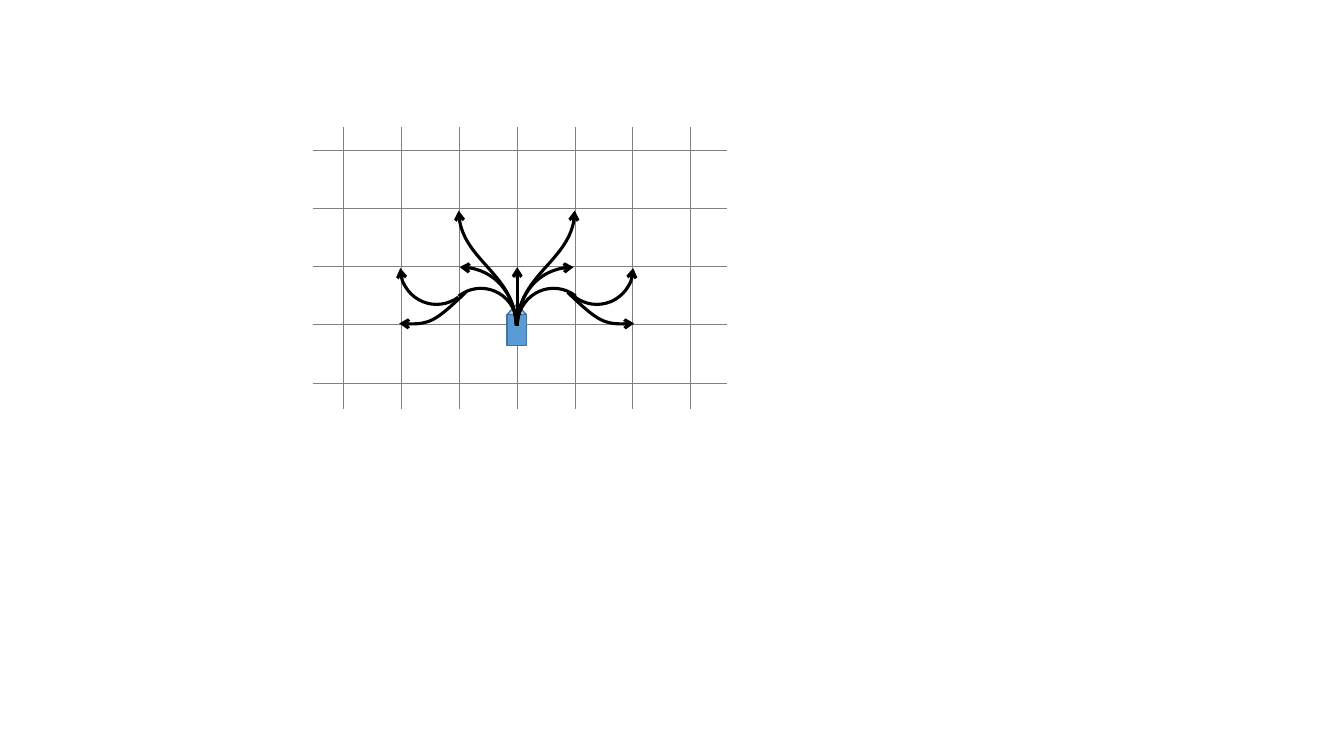
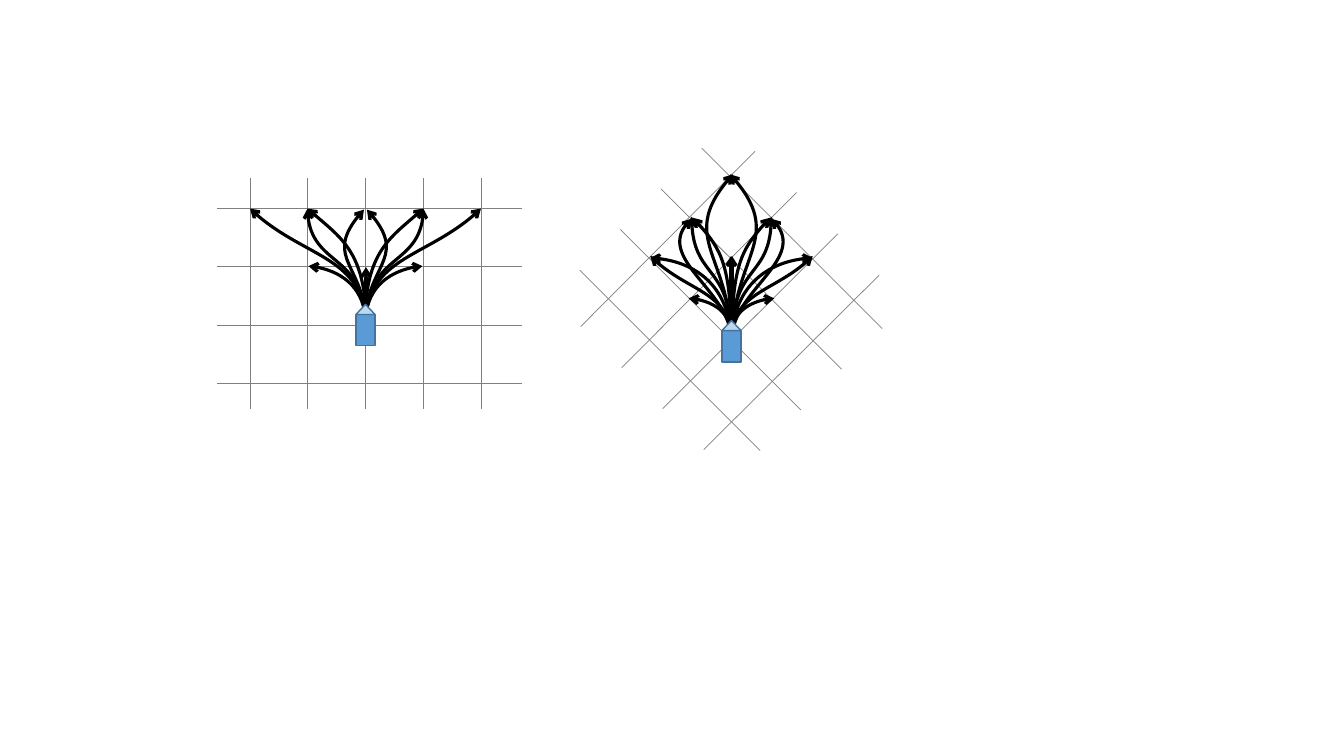
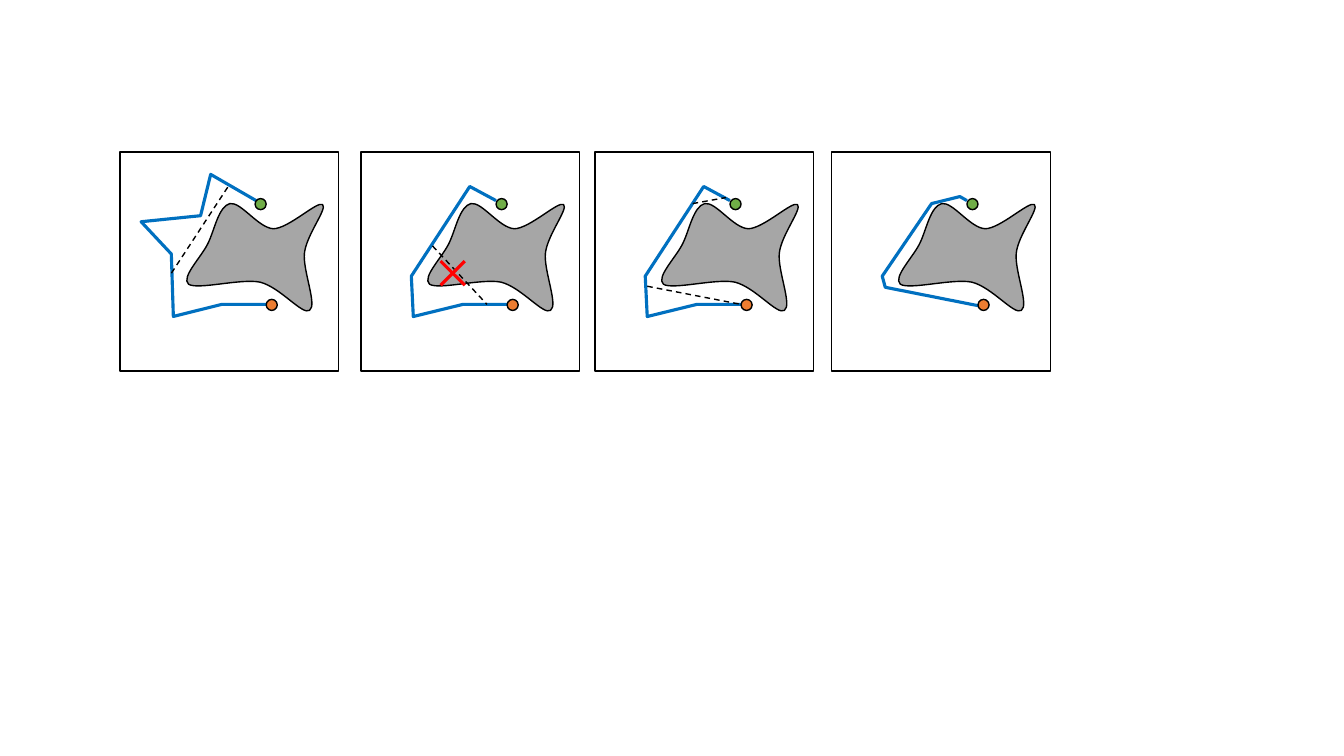
from lxml import etree
from pptx import Presentation
from pptx import util as u
from pptx.dml import color
from pptx.enum import dml, shapes
from pptx.oxml import ns

# Shared colours and line widths
BLACK, WHITE, GRID = "000000", "FFFFFF", "808080"
CAR_BODY, CAR_NOSE, CAR_LINE = "5B9BD5", "BDD7EE", "43739E"
OBSTACLE, ROUTE, CROSS = "A6A6A6", "0070C0", "FF0000"
START, GOAL = "70AD47", "ED7D31"
THIN, MEDIUM, THICK = 0.5, 1, 2.25

# Slide 1: moves to the right, as (distance from the axis, height)
SMALL_MOVES = [
    [(0, 3.23), (0.01, 2.74), (0.57, 2.57), (0.57, 2.09)],
    [(0, 3.22), (0.01, 2.98), (0.18, 2.65), (0.56, 2.65)],
    [(0.5, 2.9), (0.8, 3.19), (0.89, 3.23), (1.16, 3.21)],
]

# Slide 2: moves to the right on the straight and the diagonal grid
STRAIGHT_MOVES = [
    [(0, 3.21), (0.01, 2.87), (0.27, 2.66), (0.57, 2.64)],
    [(0, 3.21), (0, 2.53), (0.27, 2.34), (0.58, 2.07)],
    [(0.01, 3.21), (0.01, 2.53), (0.57, 2.66), (0.58, 2.07)],
    [(0, 3.21), (0.02, 2.56), (0.64, 2.56), (1.15, 2.07)],
    [(0, 3.21), (0.01, 2.64), (0.46, 2.56), (0.02, 2.08)],
]
DIAGONAL_MOVES = [
    [(-0.01, 3.37), (-0.01, 3.12), (0.19, 2.97), (0.42, 2.96)],
    [(0, 3.37), (0, 2.64), (0.12, 2.43), (0.38, 2.16)],
    [(0, 3.37), (0, 2.64), (0.39, 2.78), (0.39, 2.15)],
    [(-0.01, 3.38), (0, 2.91), (0.44, 2.9), (0.8, 2.54)],
    [(0, 3.37), (0.01, 2.55), (0.55, 2.35), (-0.02, 1.73)],
    [(0, 3.37), (0.01, 2.87), (0.37, 2.57), (0.8, 2.56)],
    [(0, 3.35), (0.01, 2.9), (0.8, 2.54), (0.39, 2.17)],
]

# Slide 3: positions inside a panel
PANEL_TOP, PANEL_SIZE, DOT_SIZE = 1.51, 2.17, 0.11
OBSTACLE_CURVE = [
    (1.09, 0.51), (1.2, 0.49), (1.37, 0.75), (1.52, 0.76),
    (1.67, 0.76), (1.96, 0.48), (2.01, 0.52),
    (2.06, 0.56), (1.85, 0.82), (1.83, 1),
    (1.81, 1.17), (1.96, 1.52), (1.88, 1.57),
    (1.81, 1.62), (1.59, 1.34), (1.39, 1.29),
    (1.2, 1.25), (0.77, 1.37), (0.68, 1.31),
    (0.6, 1.24), (0.82, 1.03), (0.88, 0.89),
    (0.94, 0.76), (0.98, 0.54), (1.09, 0.51),
]
FIRST_ROUTE = [(1.35, 0.48), (0.9, 0.22), (0.8, 0.63), (0.21, 0.69),
               (0.51, 1.01), (0.53, 1.63), (1.01, 1.51), (1.47, 1.51)]
SHORTER_ROUTE = [(1.34, 0.48), (1.08, 0.34), (0.8, 0.77), (0.5, 1.23),
                 (0.52, 1.63), (1.01, 1.51), (1.46, 1.51)]
FINAL_ROUTE = [(1.34, 0.48), (1.27, 0.44), (0.99, 0.51), (0.5, 1.23),
               (0.53, 1.34), (1.49, 1.53)]
# Panel left, route, dashed shortcuts, strokes of the cross
PANELS = [
    (1.19, FIRST_ROUTE, [((0.51, 1.2), (1.08, 0.33))], []),
    (3.58, SHORTER_ROUTE, [((0.71, 0.93), (1.25, 1.51))],
     [((0.79, 1.08), (1.03, 1.32)), ((0.79, 1.32), (1.03, 1.08))]),
    (5.9, SHORTER_ROUTE, [((0.52, 1.33), (1.45, 1.51)),
                          ((0.97, 0.51), (1.3, 0.45))], []),
    (8.25, FINAL_ROUTE, [], []),
]


def rgb(value):
    return color.RGBColor.from_string(value)


# Styling
def style_line(shape, colour, width, dashed=False, arrow=False):
    shape.line.color.rgb = rgb(colour)
    shape.line.width = u.Pt(width)
    if dashed:
        shape.line.dash_style = dml.MSO_LINE.DASH
    if arrow:
        line = shape.element.spPr.find(ns.qn("a:ln"))
        etree.SubElement(line, ns.qn("a:tailEnd"), type="arrow")


def style_shape(shape, fill, colour, width, arrow=False):
    shape.shadow.inherit = False
    if fill:
        shape.fill.solid()
        shape.fill.fore_color.rgb = rgb(fill)
    else:
        shape.fill.background()
    style_line(shape, colour, width, arrow=arrow)


# Kinds of element
def add_line(slide, begin, end, colour, width, dashed=False, arrow=False):
    connector = slide.shapes.add_connector(
        shapes.MSO_CONNECTOR.STRAIGHT,
        *(u.Inches(value) for value in (*begin, *end)))
    style_line(connector, colour, width, dashed, arrow)
    etree.SubElement(connector.element.spPr, ns.qn("a:effectLst"))


def add_preset(slide, kind, box, fill, colour, width=MEDIUM, arrow=False):
    shape = slide.shapes.add_shape(kind, *(u.Inches(value) for value in box))
    style_shape(shape, fill, colour, width, arrow)
    return shape


def add_outline(slide, points, fill, colour, width, closed=False, arrow=False):
    corners = [(u.Inches(x), u.Inches(y)) for x, y in points]
    builder = slide.shapes.build_freeform(*corners[0])
    builder.add_line_segments(corners[1:], close=closed)
    shape = builder.convert_to_shape()
    style_shape(shape, fill, colour, width, arrow)
    return shape


def curve_extent(values):
    """Return the least and greatest value along cubic Bezier curves."""
    steps = 50
    reached = []
    for first in range(0, len(values) - 1, 3):
        a, b, c, d = values[first:first + 4]
        for step in range(steps + 1):
            t = step / steps
            s = 1 - t
            reached.append(s ** 3 * a + 3 * s * s * t * b
                           + 3 * s * t * t * c + t ** 3 * d)
    return min(reached), max(reached)


def add_curve(slide, controls, fill, colour, width, closed=False, arrow=False):
    """Draw a chain of cubic Bezier curves in a box that fits it closely."""
    shape = add_outline(slide, controls, fill, colour, width, closed, arrow)
    (left, right), (top, bottom) = map(curve_extent, zip(*controls))
    shape.left, shape.top = u.Inches(left), u.Inches(top)
    shape.width, shape.height = u.Inches(right - left), u.Inches(bottom - top)
    outline = next(shape.element.spPr.iter(ns.qn("a:path")))
    outline.set("w", str(shape.width))
    outline.set("h", str(shape.height))
    points = list(outline.iter(ns.qn("a:pt")))
    for point, (x, y) in zip(points, controls):
        point.set("x", str(u.Inches(x - left)))
        point.set("y", str(u.Inches(y - top)))
    # Turn every three straight segments into one curved segment
    for segment in outline.findall(ns.qn("a:lnTo")):
        outline.remove(segment)
    for position, first in enumerate(range(1, len(controls), 3), start=1):
        curve = etree.Element(ns.qn("a:cubicBezTo"))
        curve.extend(points[first:first + 3])
        outline.insert(position, curve)


def add_parallel_lines(slide, first, last, count):
    """Spread grid lines evenly; each is (x1, y1, x2, y2)."""
    for index in range(count):
        share = index / (count - 1)
        ends = [a + (b - a) * share for a, b in zip(first, last)]
        add_line(slide, ends[:2], ends[2:], GRID, THIN)


def add_moves(slide, right_axis, left_axis, moves):
    """Draw each curved move to the right and its mirror to the left."""
    for axis, side in ((right_axis, 1), (left_axis, -1)):
        for move in moves:
            controls = [(axis + side * x, y) for x, y in move]
            add_curve(slide, controls, None, BLACK, THICK, arrow=True)


def add_arc(slide, box, angles, rotation=0, flips=(), arrow=False):
    arc = add_preset(slide, shapes.MSO_SHAPE.ARC, box, None, BLACK, THICK, arrow)
    for index, angle in enumerate(angles):
        arc.adjustments[index] = angle
    arc.rotation = rotation
    for flip in flips:
        arc.element.spPr.find(ns.qn("a:xfrm")).set(flip, "1")


def add_car(slide, left, top):
    width, nose, body = 0.19, 0.1, 0.31
    add_preset(slide, shapes.MSO_SHAPE.RECTANGLE,
               (left, top + nose, width, body), CAR_BODY, CAR_LINE)
    add_preset(slide, shapes.MSO_SHAPE.ISOSCELES_TRIANGLE,
               (left, top, width, nose), CAR_NOSE, CAR_LINE)


def add_panel(slide, left, route, shortcuts, cross):
    def place(points):
        return [(left + x, PANEL_TOP + y) for x, y in points]

    add_preset(slide, shapes.MSO_SHAPE.RECTANGLE,
               (left, PANEL_TOP, PANEL_SIZE, PANEL_SIZE), WHITE, BLACK)
    add_curve(slide, place(OBSTACLE_CURVE), OBSTACLE, BLACK, MEDIUM, closed=True)
    add_outline(slide, place(route), None, ROUTE, THICK)
    for shortcut in shortcuts:
        add_line(slide, *place(shortcut), BLACK, MEDIUM, dashed=True)
    for stroke in cross:
        add_line(slide, *place(stroke), CROSS, THICK)
    for x, y, fill in ((1.34, 0.46, START), (1.45, 1.46, GOAL)):
        add_preset(slide, shapes.MSO_SHAPE.OVAL,
                   (left + x, PANEL_TOP + y, DOT_SIZE, DOT_SIZE), fill, BLACK)


# Slides
def build_small_moves(slide):
    add_parallel_lines(slide, (3.41, 4.06, 3.41, 1.26),
                       (6.85, 4.06, 6.85, 1.26), 7)
    add_parallel_lines(slide, (3.1, 1.49, 7.21, 1.49),
                       (3.1, 3.8, 7.21, 3.8), 5)
    add_car(slide, 5.03, 3.02)
    add_line(slide, (5.13, 3.22), (5.13, 2.65), BLACK, THICK, arrow=True)
    add_moves(slide, 5.13, 5.12, SMALL_MOVES)
    # Turns made of two arcs, to the right and to the left
    for near_left, far_left, rotation, flips in (
            (5.12, 5.56, 270, ()), (4.4, 3.97, 90, ("flipH",))):
        add_arc(slide, (near_left, 2.87, 0.74, 0.72), (162, 22.23),
                rotation, flips)
        add_arc(slide, (far_left, 2.3, 0.72, 0.72), (139.92, 0),
                flips=(*flips, "flipV"), arrow=True)


def build_large_moves(slide):
    # Straight grid
    add_parallel_lines(slide, (2.15, 2.07, 5.18, 2.07),
                       (2.15, 3.8, 5.18, 3.8), 4)
    add_parallel_lines(slide, (2.48, 4.06, 2.48, 1.77),
                       (4.77, 4.06, 4.77, 1.77), 5)
    # Diagonal grid
    add_parallel_lines(slide, (5.76, 3.24, 7.49, 1.5),
                       (6.98, 4.46, 8.72, 2.73), 4)
    add_parallel_lines(slide, (7.54, 4.47, 5.75, 2.68),
                       (8.75, 3.26, 6.96, 1.47), 4)
    # Curved moves, straight moves and cars
    add_moves(slide, 3.62, 3.63, STRAIGHT_MOVES)
    add_moves(slide, 7.26, 7.25, DIAGONAL_MOVES)
    for x, begin, end in ((3.63, 3.21, 2.65), (7.26, 3.37, 2.54),
                          (7.25, 3.37, 2.54)):
        add_line(slide, (x, begin), (x, end), BLACK, THICK, arrow=True)
    add_car(slide, 3.53, 3.02)
    add_car(slide, 7.16, 3.18)


def build_route_smoothing(slide):
    for panel in PANELS:
        add_panel(slide, *panel)


def main():
    presentation = Presentation()
    presentation.slide_width = u.Inches(13.33)
    presentation.slide_height = u.Inches(7.5)
    blank_layout = presentation.slide_layouts[6]
    for build in (build_small_moves, build_large_moves, build_route_smoothing):
        build(presentation.slides.add_slide(blank_layout))
    presentation.save("out.pptx")


if __name__ == "__main__":
    main()
